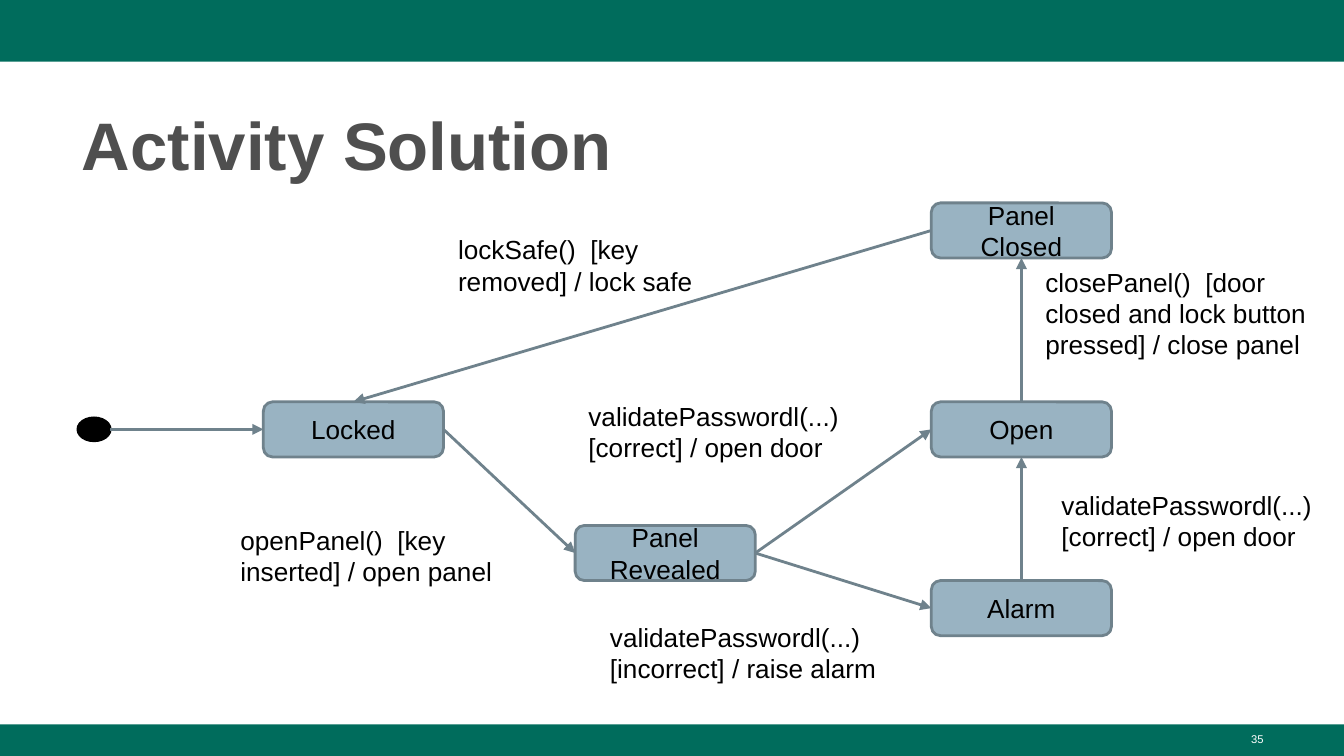
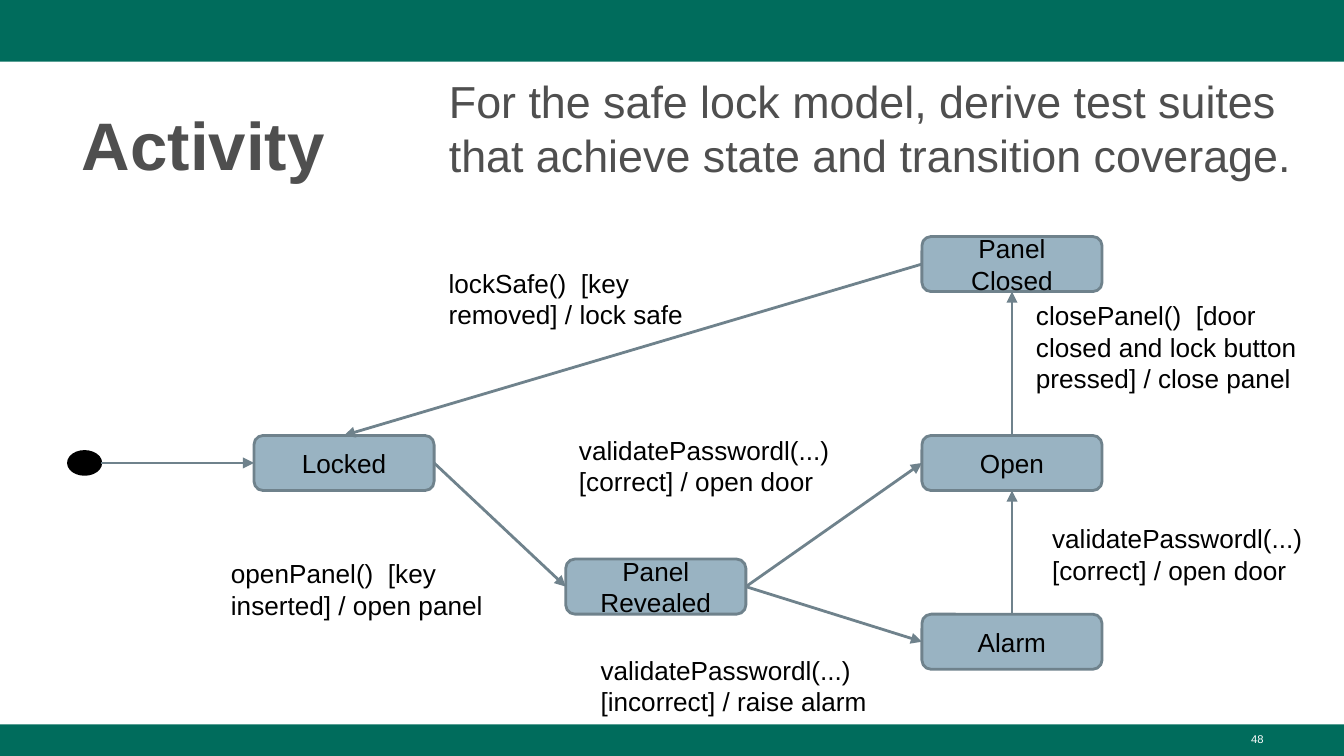
from dataclasses import dataclass

from lxml import etree
from pptx import Presentation
from pptx.dml.color import RGBColor
from pptx.enum.shapes import MSO_CONNECTOR as Connector, MSO_SHAPE as Shape
from pptx.enum.text import MSO_ANCHOR as Anchor, MSO_AUTO_SIZE as AutoSize, PP_ALIGN as Align
from pptx.oxml.ns import qn
from pptx.util import Inches, Pt


@dataclass(frozen=True)
class Theme:
    font: str = "Arial"
    band: str = "006C5C"
    heading: str = "4F4F4F"
    state_fill: str = "99B3C2"
    state_line: str = "6F828C"
    ink: str = "000000"
    paper: str = "FFFFFF"
    title_size: float = 36
    body_size: float = 24
    label_size: float = 14
    number_size: float = 6
    line_width: float = 1.5


THEME = Theme()
TITLE_ONLY, TITLE_AND_BODY = 5, 1
SLIDE_WIDTH = 10
SLIDE_HEIGHT = SLIDE_WIDTH * 9 / 16
BANDS = [(0, 0.46), (5.39, SLIDE_HEIGHT - 5.39)]  # top, height
TITLE_BOX = (0.51, 0.67, 8.99, 0.73)
BODY_BOX = (3.24, 0.5, 8.99, 1.07)
NUMBER_BOX = (7.17, 5.4, 2.33, 0.23)

# Diagram parts, placed relative to the diagram's top left corner
STATE_SIZE = (1.34, 0.41)
START_SIZE = (0.24, 0.17)
LABEL_SIZE = (2.4, 0.63)
RIGHT_COLUMN, MIDDLE_ROW = 6.35, 1.48
STATES = {
    "Locked": (1.38, MIDDLE_ROW),
    "Open": (RIGHT_COLUMN, MIDDLE_ROW),
    "Panel Revealed": (3.7, 2.4),
    "Alarm": (RIGHT_COLUMN, 2.81),
    "Panel Closed": (RIGHT_COLUMN, 0),
}
TOP, LEFT, BOTTOM, RIGHT = range(4)  # connection sites of a state
TRANSITIONS = [  # source, site, target, site, label, label position
    ("Locked", RIGHT, "Panel Revealed", LEFT,
     "openPanel()  [key inserted] / open panel", (1.11, 2.29)),
    ("Panel Revealed", RIGHT, "Alarm", LEFT,
     "validatePasswordl(...)  [incorrect] / raise alarm", (3.86, 3.01)),
    ("Panel Revealed", RIGHT, "Open", LEFT,
     "validatePasswordl(...)  [correct] / open door", (3.7, 1.37)),
    ("Alarm", TOP, "Open", BOTTOM,
     "validatePasswordl(...)  [correct] / open door", (7.22, 2.03)),
    ("Open", TOP, "Panel Closed", BOTTOM,
     "closePanel()  [door closed and lock button pressed] / close panel", (7.1, 0.37)),
    ("Panel Closed", LEFT, "Locked", TOP,
     "lockSafe()  [key removed] / lock safe", (2.73, 0.13)),
]


def color(value):
    return RGBColor.from_string(value)


def inches(*values):
    return [Inches(value) for value in values]


def write(shape, text, size, ink, bold=False, align=Align.LEFT, anchor=Anchor.TOP, inset=0.05):
    """Fill a shape with one formatted paragraph and return the paragraph."""
    frame = shape.text_frame
    frame.word_wrap = True
    frame.auto_size = AutoSize.NONE
    frame.vertical_anchor = anchor
    frame.margin_left = frame.margin_right = Inches(0.1)
    frame.margin_top = frame.margin_bottom = Inches(inset)
    paragraph = frame.paragraphs[0]
    paragraph.text = text
    paragraph.alignment = align
    for run in paragraph.runs:
        run.font.name = THEME.font
        run.font.size = Pt(size)
        run.font.bold = bold
        run.font.color.rgb = color(ink)
    return paragraph


def add_solid(slide, kind, box, fill, line=None):
    shape = slide.shapes.add_shape(kind, *inches(*box))
    shape.shadow.inherit = False
    shape.fill.solid()
    shape.fill.fore_color.rgb = color(fill)
    if line:
        shape.line.color.rgb = color(line)
        shape.line.width = Pt(THEME.line_width)
    else:
        shape.line.fill.background()
    return shape


def add_text(slide, box, text, size, ink, **style):
    return write(slide.shapes.add_textbox(*inches(*box)), text, size, ink, **style)


def place(shape, box):
    shape.left, shape.top, shape.width, shape.height = inches(*box)


def add_arrow(slide, start=(0, 0), end=(0, 0)):
    arrow = slide.shapes.add_connector(Connector.STRAIGHT, *inches(*start, *end))
    arrow.line.color.rgb = color(THEME.state_line)
    arrow.line.width = Pt(THEME.line_width)
    line = arrow.element.spPr.find(qn("a:ln"))
    etree.SubElement(line, qn("a:tailEnd"), type="triangle")
    etree.SubElement(arrow.element.spPr, qn("a:effectLst"))
    return arrow


def add_master_bands(presentation, slide):
    """Draw the bands, then move them to the master behind its placeholders."""
    master_tree = presentation.slide_master.shapes.element
    for index, (top, height) in enumerate(BANDS):
        band = add_solid(slide, Shape.RECTANGLE, (0, top, SLIDE_WIDTH, height), THEME.band)
        band.element.nvSpPr.cNvPr.set("id", str(100 + index))
        master_tree.insert(2 + index, band.element)


def add_header(slide, title, number):
    place(slide.shapes.title, TITLE_BOX)
    paragraph = write(slide.shapes.title, title, THEME.title_size, THEME.heading, bold=True)
    paragraph.line_spacing = 1.08
    add_text(slide, NUMBER_BOX, number, THEME.number_size, THEME.paper, align=Align.RIGHT)


def add_task(slide, text):
    body = slide.placeholders[1]
    place(body, BODY_BOX)
    paragraph = write(body, text, THEME.body_size, THEME.heading)
    paragraph.space_before = Pt(6)
    properties = paragraph._p.get_or_add_pPr()
    properties.set("marL", "0")
    properties.set("indent", "0")
    etree.SubElement(properties, qn("a:buNone"))


def add_state_diagram(slide, left, top):
    # States
    states = {}
    for name, (x, y) in STATES.items():
        box = (left + x, top + y, *STATE_SIZE)
        states[name] = add_solid(slide, Shape.ROUNDED_RECTANGLE, box,
                                 THEME.state_fill, THEME.state_line)
        write(states[name], name, THEME.label_size, THEME.ink,
              align=Align.CENTER, anchor=Anchor.MIDDLE, inset=0.1)

    # Start marker, centred on the row of the first state
    width, height = START_SIZE
    middle = top + MIDDLE_ROW + STATE_SIZE[1] / 2
    add_solid(slide, Shape.OVAL, (left, middle - height / 2, width, height), THEME.ink, THEME.ink)
    add_arrow(slide, start=(left + width, middle)).end_connect(states["Locked"], LEFT)

    # Transitions and their labels
    for source, source_site, target, target_site, label, (x, y) in TRANSITIONS:
        arrow = add_arrow(slide)
        arrow.begin_connect(states[source], source_site)
        arrow.end_connect(states[target], target_site)
        add_text(slide, (left + x, top + y, *LABEL_SIZE), label,
                 THEME.label_size, THEME.ink, inset=0.1)


def main():
    presentation = Presentation()
    presentation.slide_width, presentation.slide_height = inches(SLIDE_WIDTH, SLIDE_HEIGHT)
    layouts = presentation.slide_layouts

    # Solution slide
    solution = presentation.slides.add_slide(layouts[TITLE_ONLY])
    add_master_bands(presentation, solution)
    add_header(solution, "Activity Solution", "35")
    add_state_diagram(solution, 0.58, 1.51)

    # Activity slide
    activity = presentation.slides.add_slide(layouts[TITLE_AND_BODY])
    add_header(activity, "Activity", "48")
    add_task(activity, "For the safe lock model, derive test suites \v"
                       "that achieve state and transition coverage.")
    add_state_diagram(activity, 0.51, 1.76)

    presentation.save("out.pptx")


if __name__ == "__main__":
    main()
